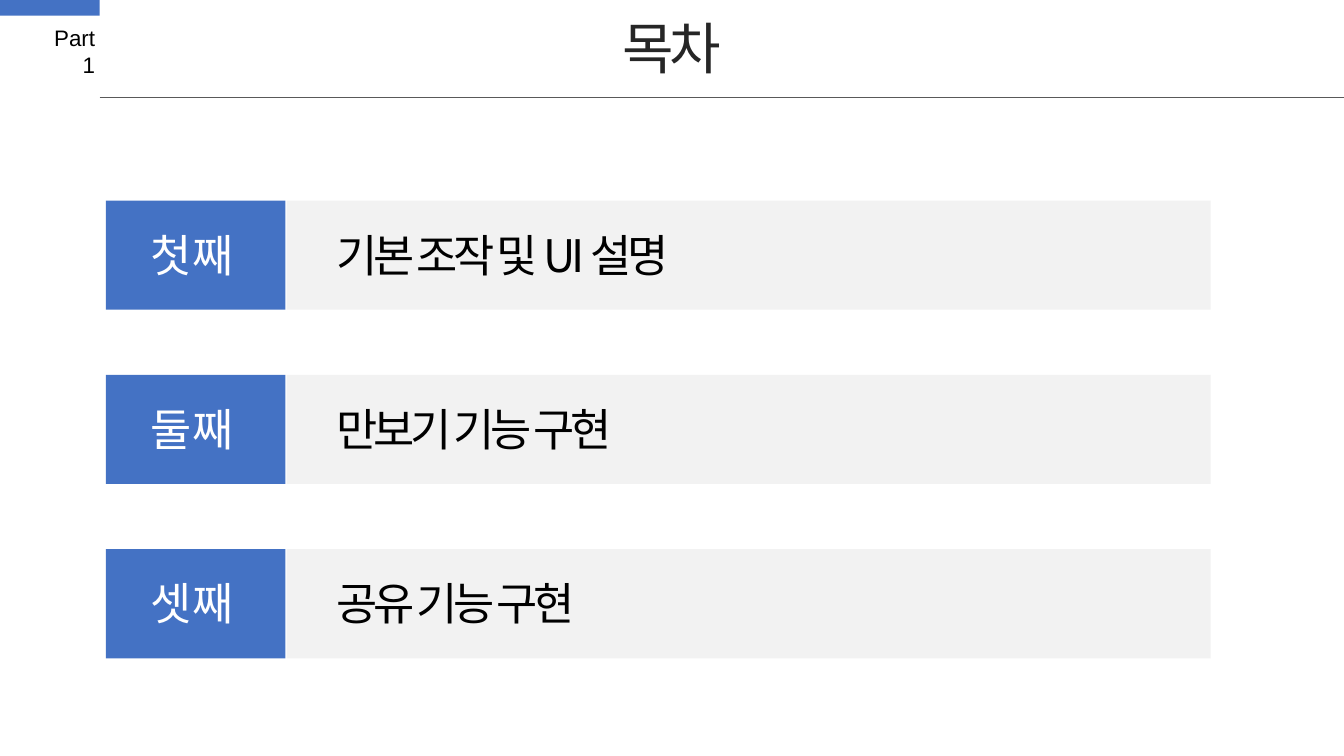
from pptx import Presentation
from pptx.dml.color import RGBColor as Rgb
from pptx.enum.shapes import MSO_CONNECTOR as Conn, MSO_SHAPE as Shape
from pptx.enum.text import MSO_AUTO_SIZE as Auto, PP_ALIGN as Align
from pptx.oxml.ns import qn
from pptx.util import Pt
from lxml.etree import SubElement as Sub

PX = 9525
HUES = {"blue": "4472C4", "pale": "F2F2F2", "white": "FFFFFF",
        "black": "000000", "dark": "262626", "gray": "595959"}
KOREAN = "Noto Sans CJK KR"
ITEMS = [("첫째", "기본 조작 및 UI 설명", 371),
         ("둘째", "만보기 기능 구현", 315),
         ("셋째", "공유 기능 구현", 276)]
TOP, STEP = 191, 166


def hue(name):
    return Rgb.from_string(HUES[name])


def scale(*px):
    return [n * PX for n in px]


def add_rect(slide, box, fill):
    rect = slide.shapes.add_shape(Shape.RECTANGLE, *scale(*box))
    rect.shadow.inherit = False
    rect.fill.solid()
    rect.fill.fore_color.rgb = hue(fill)
    rect.line.fill.background()


def add_text(slide, box, text, size=32, color="black", font="Arial",
             align=Align.LEFT, wrap=False, gap=0):
    frame = slide.shapes.add_textbox(*scale(*box)).text_frame
    frame.word_wrap = wrap
    frame.auto_size = Auto.SHAPE_TO_FIT_TEXT
    para = frame.paragraphs[0]
    para.alignment = align
    run = para.add_run()
    run.text = text
    run.font.size = Pt(size)
    run.font.color.rgb = hue(color)
    run.font.name = font
    props = run.font._element
    Sub(props, qn("a:ea")).set("typeface", KOREAN)
    if gap:
        props.set("spc", str(gap * 100))


def add_rule(slide, ends, color):
    rule = slide.shapes.add_connector(Conn.STRAIGHT, *scale(*ends))
    rule.line.color.rgb = hue(color)
    rule.line.width = Pt(0.5)
    Sub(rule._element.spPr, qn("a:effectLst"))


def add_item(slide, top, tag, text, width):
    add_rect(slide, (101, top, 171, 104), "blue")
    add_rect(slide, (273, top, 880, 104), "pale")
    add_text(slide, (134, top + 21, 98, 61), tag, color="white",
             align=Align.CENTER)
    add_text(slide, (311, top + 21, width, 61), text, font=KOREAN, gap=-3)


def main():
    deck = Presentation()
    deck.slide_width, deck.slide_height = scale(1280, 720)
    slide = deck.slides.add_slide(deck.slide_layouts[6])
    add_text(slide, (28, 18, 72, 36), "Part 1", size=16,
             align=Align.RIGHT, wrap=True)
    add_text(slide, (0, 8, 1280, 74), "목차", size=40, color="dark",
             align=Align.CENTER, wrap=True, gap=-3)
    add_rect(slide, (0, 0, 95, 15), "blue")
    add_rule(slide, (95, 93, 1280, 93), "gray")
    for row, item in enumerate(ITEMS):
        add_item(slide, TOP + row * STEP, *item)
    deck.save("out.pptx")


if __name__ == "__main__":
    main()
